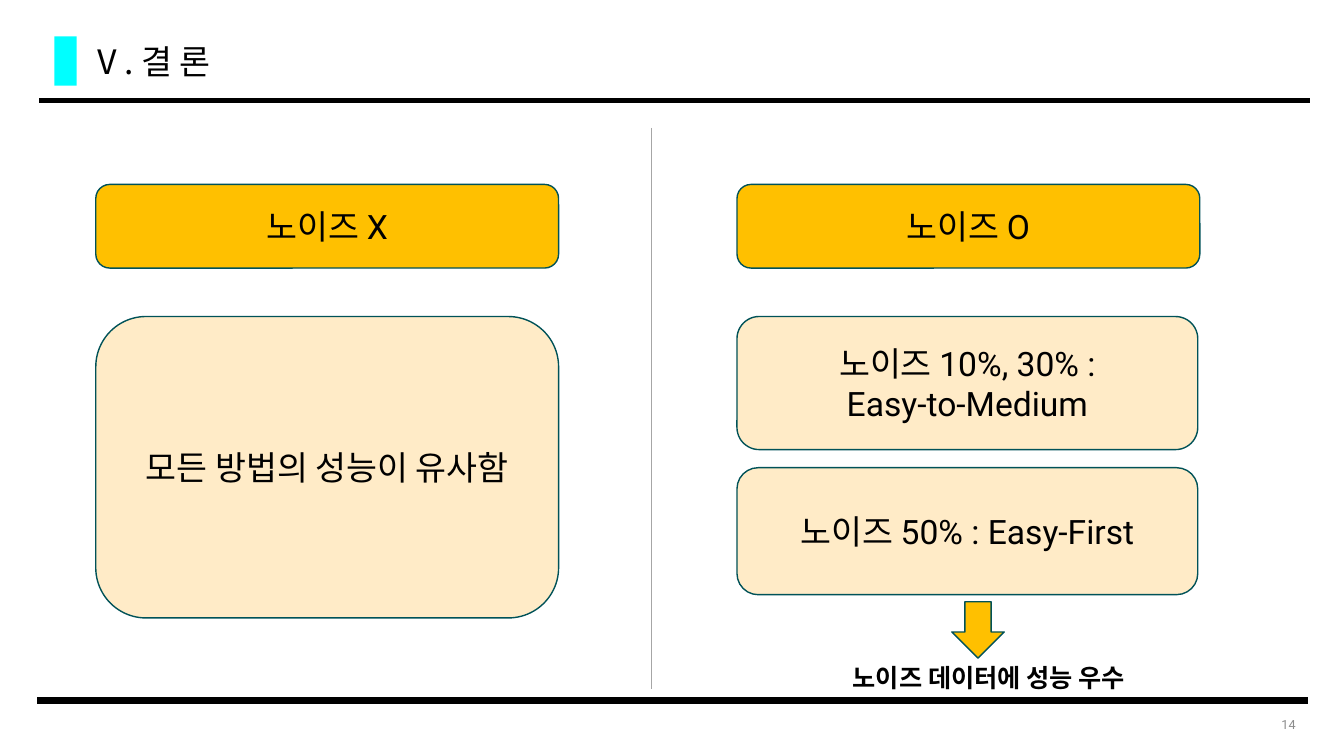
"""Build the conclusion slide comparing results without and with noise."""
from lxml.etree import SubElement
from pptx import Presentation
from pptx.dml.color import RGBColor
from pptx.enum.shapes import MSO_CONNECTOR as Connector, MSO_SHAPE as Shape
from pptx.enum.text import MSO_ANCHOR as Anchor, PP_ALIGN as Align
from pptx.oxml.ns import qn
from pptx.util import Inches, Pt

BLACK, GOLD, CREAM, TEAL = "000000", "FFC000", "FFEBC7", "005258"
LEFT, RIGHT = 0.95, 7.31
HEAD_ROW, BODY_ROW, LAST_ROW = 1.83, 3.14, 4.64


def color(value):
    return RGBColor.from_string(value)


def write(box, text, size=24, font="Roboto", ink=BLACK, bold=False,
          align=Align.CENTER, anchor=Anchor.MIDDLE, wrap=True):
    frame = box.text_frame
    frame.word_wrap = wrap
    frame.vertical_anchor = anchor
    for index, line in enumerate(text.split("\n")):
        para = frame.add_paragraph() if index else frame.paragraphs[0]
        para.alignment = align
        span = para.add_run()
        span.text = line
        span.font.name = font
        span.font.size = Pt(size)
        span.font.bold = bold
        span.font.color.rgb = color(ink)
        SubElement(span.font._element, qn("a:ea"), typeface="Noto Sans CJK KR")


deck = Presentation()
deck.slide_width, deck.slide_height = Inches(13.33), Inches(7.5)
page = deck.slides.add_slide(deck.slide_layouts[5])
shapes = page.shapes

title = shapes.title
title.left, title.top, title.width, title.height = map(Inches, (0.8, 0.36, 4, 0.5))
write(title, "Ⅴ. 결 론", font="Noto Sans CJK KR", align=Align.LEFT, wrap=False)

rules = [
    (0.39, 1, 12.99, 1, BLACK, 3.5),
    (0.37, 6.95, 12.97, 6.95, BLACK, 5),
    (6.46, 1.27, 6.46, 6.84, "A6A6A6", 0.5),
]
for x1, y1, x2, y2, ink, weight in rules:
    rule = shapes.add_connector(Connector.STRAIGHT, *map(Inches, (x1, y1, x2, y2)))
    rule.line.color.rgb = color(ink)
    rule.line.width = Pt(weight)
    SubElement(rule._element.spPr, qn("a:effectLst"))

panels = [
    (Shape.RECTANGLE, 0.54, 0.36, 0.22, 0.49, "00FFFF", None, ""),
    (Shape.ROUNDED_RECTANGLE, LEFT, HEAD_ROW, 4.59, 0.83, GOLD, TEAL, "노이즈 X"),
    (Shape.ROUNDED_RECTANGLE, RIGHT, HEAD_ROW, 4.59, 0.83, GOLD, TEAL, "노이즈 O"),
    (Shape.ROUNDED_RECTANGLE, LEFT, BODY_ROW, 4.59, 2.99, CREAM, TEAL,
     "모든 방법의 성능이 유사함"),
    (Shape.ROUNDED_RECTANGLE, RIGHT, BODY_ROW, 4.57, 1.32, CREAM, TEAL,
     "노이즈 10%, 30% :\nEasy-to-Medium"),
    (Shape.ROUNDED_RECTANGLE, RIGHT, LAST_ROW, 4.57, 1.26, CREAM, TEAL,
     "노이즈 50% : Easy-First"),
    (Shape.DOWN_ARROW, 9.44, 5.97, 0.52, 0.56, GOLD, TEAL, ""),
]
for kind, left, top, width, height, fill, edge, text in panels:
    panel = shapes.add_shape(kind, *map(Inches, (left, top, width, height)))
    panel.shadow.inherit = False
    panel.fill.solid()
    panel.fill.fore_color.rgb = color(fill)
    if edge:
        panel.line.color.rgb = color(edge)
        panel.line.width = Pt(1)
    else:
        panel.line.fill.background()
    if text:
        write(panel, text)

verdict = shapes.add_textbox(*map(Inches, (8.36, 6.52, 3, 0.4)))
write(verdict, "노이즈 데이터에 성능 우수", size=18, bold=True,
      align=Align.LEFT, anchor=Anchor.TOP)

number = shapes.add_textbox(*map(Inches, (9.97, 6.99, 3, 0.4)))
number.text_frame.margin_right = Inches(0.12)
write(number, "14", size=9, ink="8C8C8C", align=Align.RIGHT)

deck.save("out.pptx")
